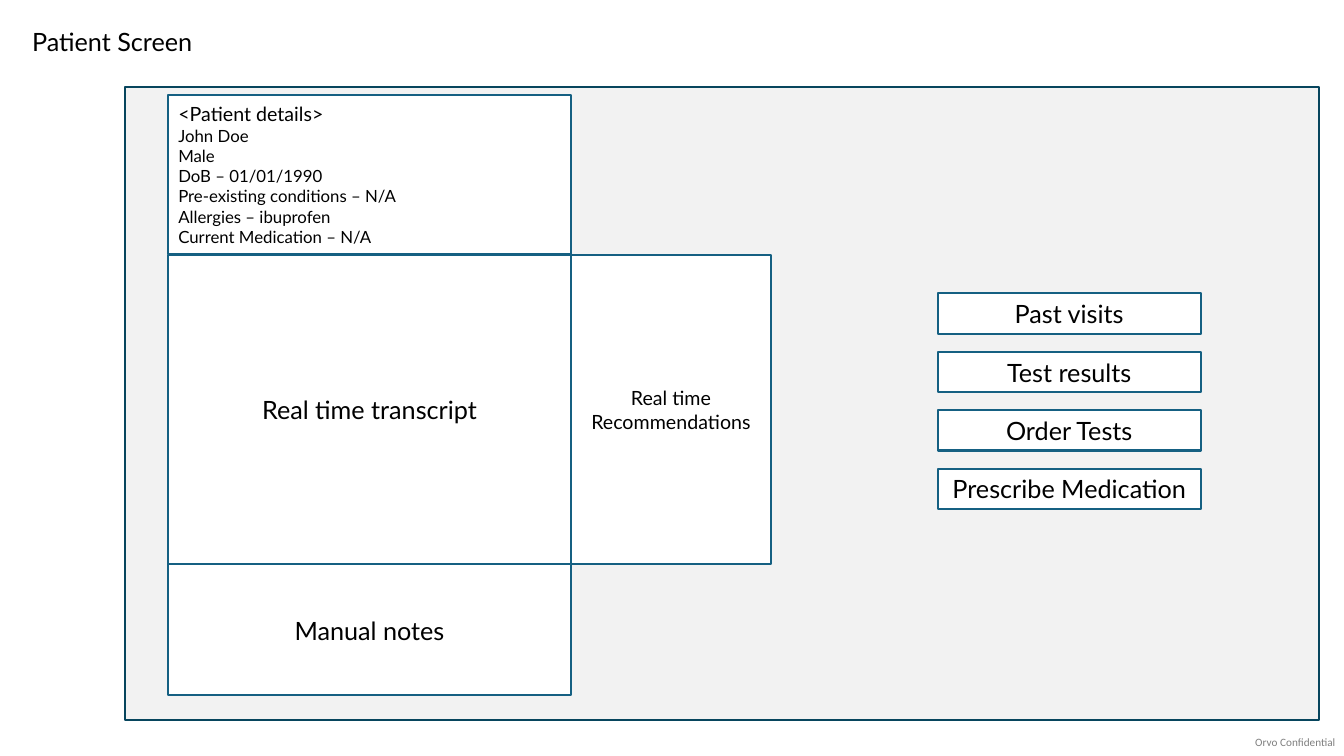
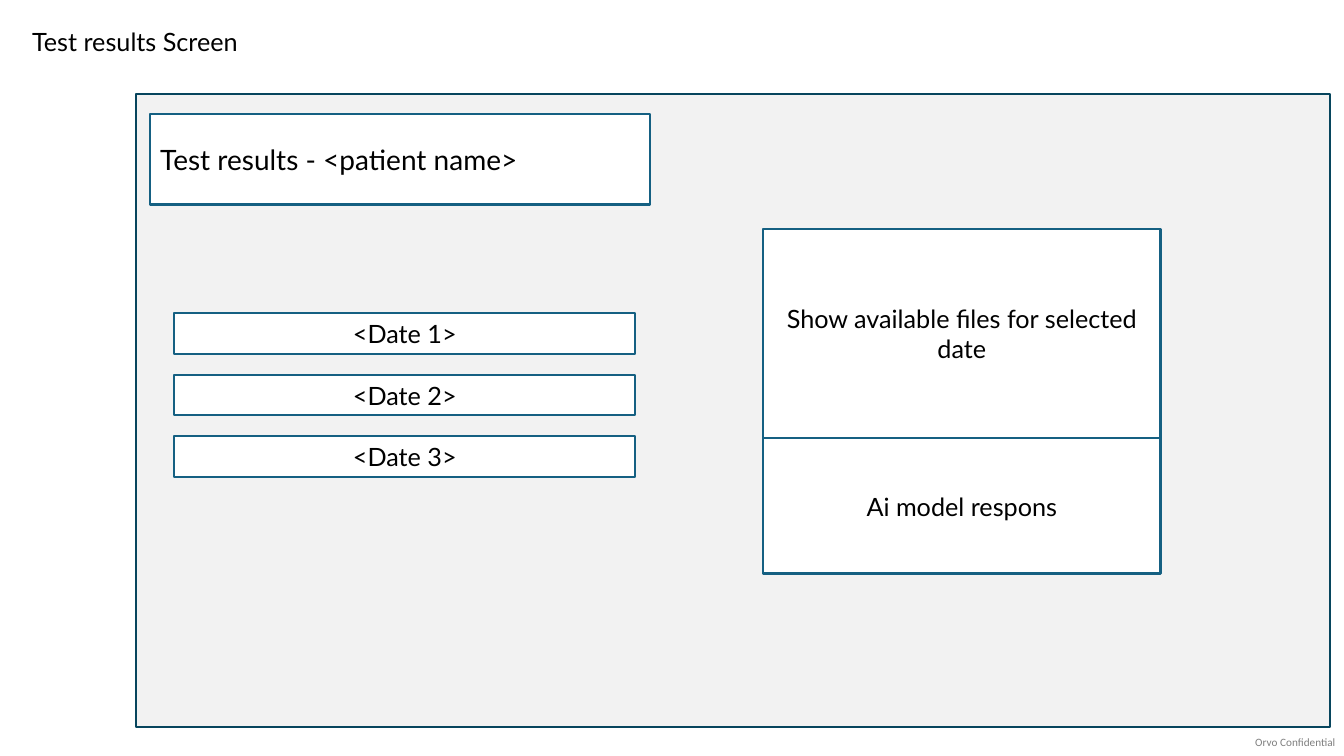
from pptx import Presentation
from pptx.dml.color import RGBColor
from pptx.enum.shapes import MSO_SHAPE as Preset
from pptx.enum.text import MSO_ANCHOR as Anchor, MSO_AUTO_SIZE as AutoSize, PP_ALIGN as Align
from pptx.util import Inches, Pt

COLORS = {
    "panel": "F2F2F2",
    "panel_line": "07455D",
    "box": "FFFFFF",
    "box_line": "156082",
    "text": "000000",
    "footer": "7F7F7F",
}
PANEL_SIZE = (11.84, 6.28)
BUTTON_HEIGHT = 0.4
FOOTER_FRAME = {
    "margin_left": 0,
    "margin_top": 0,
    "margin_right": 0,
    "margin_bottom": 0,
    "word_wrap": False,
    "auto_size": AutoSize.SHAPE_TO_FIT_TEXT,
}


def rgb(name):
    """Return the named colour."""
    return RGBColor.from_string(COLORS[name])


def set_format(target, values):
    """Set each named attribute on the target."""
    for name, value in values.items():
        setattr(target, name, value)


def write_text(shape, lines, align=Align.LEFT, font="Lato", color="text", **frame_values):
    """Write (text, size) lines as paragraphs of the shape."""
    frame = shape.text_frame
    set_format(frame, {"word_wrap": True, **frame_values})
    for index, (text, size) in enumerate(lines):
        paragraph = frame.add_paragraph() if index else frame.paragraphs[0]
        paragraph.alignment = align
        run = paragraph.add_run()
        run.text = text
        set_format(run.font, {"name": font, "size": Pt(size)})
        run.font.color.rgb = rgb(color)


def add_rectangle(slide, box, fill, line):
    """Add an outlined rectangle."""
    shape = slide.shapes.add_shape(Preset.RECTANGLE, *map(Inches, box))
    shape.shadow.inherit = False
    shape.fill.solid()
    shape.fill.fore_color.rgb = rgb(fill)
    shape.line.color.rgb = rgb(line)
    shape.line.width = Pt(1.5)
    return shape


def add_box(slide, panel, box, lines, align=Align.CENTER):
    """Add a white text box placed relative to the panel."""
    left, top, width, height = box
    placed = (panel[0] + left, panel[1] + top, width, height)
    shape = add_rectangle(slide, placed, "box", "box_line")
    write_text(shape, lines, align, vertical_anchor=Anchor.MIDDLE)


def add_buttons(slide, panel, start, width, pitch, labels):
    """Add a column of evenly spaced buttons."""
    left, top = start
    for index, label in enumerate(labels):
        box = (left, top + index * pitch, width, BUTTON_HEIGHT)
        add_box(slide, panel, box, [(label, 18)])


def add_screen(presentation, title, panel):
    """Add a slide with its title, footer and grey panel."""
    slide = presentation.slides.add_slide(presentation.slide_layouts[6])
    footer = slide.shapes.add_textbox(*map(Inches, (12.45, 7.3, 0.84, 0.13)))
    write_text(footer, [("Orvo Confidential", 8)], font="Calibri", color="footer",
               **FOOTER_FRAME)
    add_rectangle(slide, (*panel, *PANEL_SIZE), "panel", "panel_line")
    heading = slide.shapes.add_textbox(*map(Inches, (0.22, 0.21, 5.06, 0.4)))
    write_text(heading, [(title, 18)])
    return slide


def add_patient_screen(presentation):
    """Build the patient screen."""
    panel = (1.24, 0.86)
    slide = add_screen(presentation, "Patient Screen", panel)
    left, width = 0.43, 3.99
    middle, middle_height = 1.67, 3.07
    details = (
        "John Doe",
        "Male",
        "DoB – 01/01/1990",
        "Pre-existing conditions – N/A",
        "Allergies – ibuprofen",
        "Current Medication – N/A",
    )
    add_box(slide, panel, (left, middle, width, middle_height),
            [("Real time transcript", 18)])
    add_box(slide, panel, (left, middle + middle_height, width, 1.3),
            [("Manual notes", 18)])
    add_box(slide, panel, (left, 0.08, width, 1.58),
            [("<Patient details>", 14), *((text, 12) for text in details)], Align.LEFT)
    add_box(slide, panel, (left + width, middle, 1.99, middle_height),
            [("Real time Recommendations", 14)])
    add_buttons(slide, panel, (8.06, 2.05), 2.61, 0.58,
                ("Past visits", "Test results", "Order Tests", "Prescribe Medication"))


def add_results_screen(presentation):
    """Build the test results screen."""
    panel = (1.35, 0.93)
    slide = add_screen(presentation, "Test results Screen", panel)
    left, top, width, files_height = 6.22, 1.34, 3.94, 2.08
    add_box(slide, panel, (0.14, 0.2, 4.96, 0.9),
            [("Test results - <patient name>", 20)], Align.LEFT)
    add_buttons(slide, panel, (0.38, 2.18), 4.57, 0.61,
                [f"<Date {number}>" for number in range(1, 4)])
    add_box(slide, panel, (left, top, width, files_height),
            [("Show available files for selected date", 18)])
    add_box(slide, panel, (left, top + files_height, width, 1.34),
            [("Ai model respons", 18)])


def main():
    """Build and save the presentation."""
    presentation = Presentation()
    set_format(presentation, {"slide_width": Inches(13.33), "slide_height": Inches(7.5)})
    add_patient_screen(presentation)
    add_results_screen(presentation)
    presentation.save("out.pptx")


if __name__ == "__main__":
    main()
